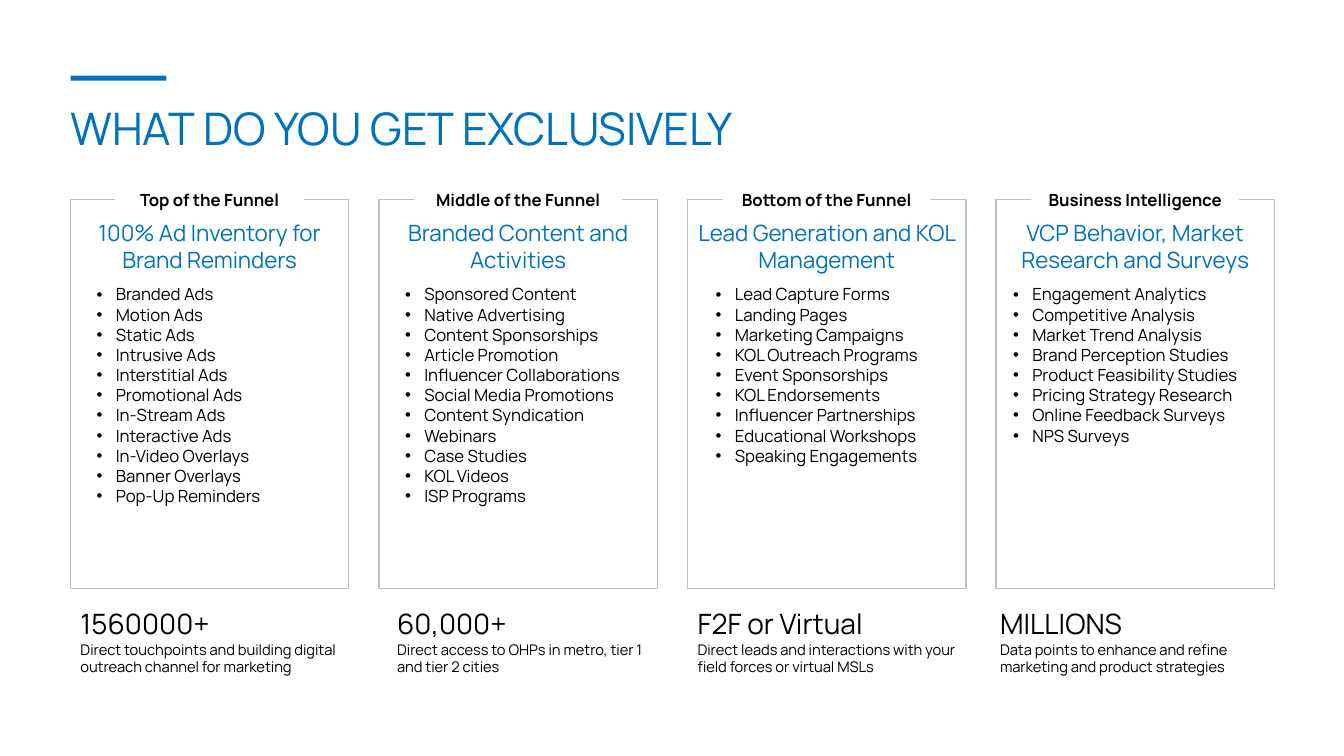
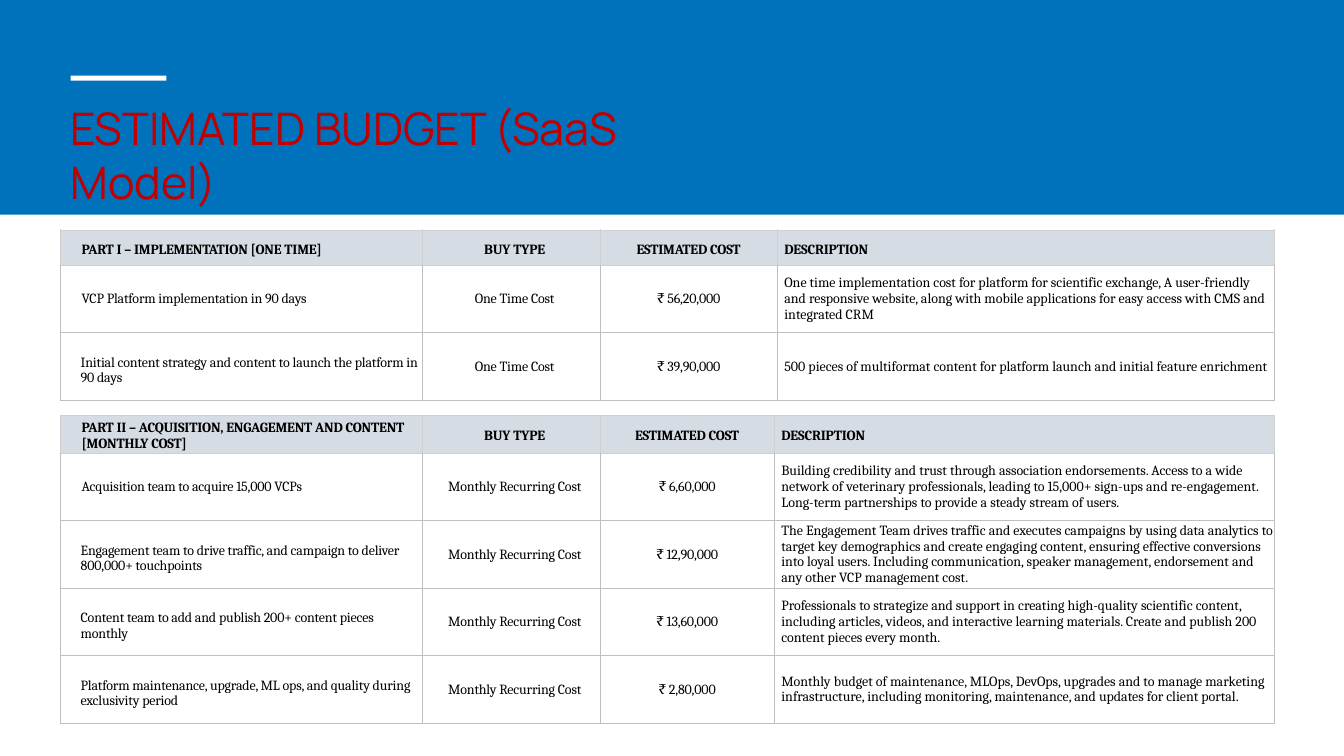
"""Builds a two-slide deck: exclusive benefits and estimated budget."""
from lxml.etree import SubElement as Sub
from pptx import Presentation as Deck
from pptx.dml.color import RGBColor as Rgb
from pptx.enum.shapes import MSO_SHAPE as Kind
from pptx.enum.text import MSO_ANCHOR as Anchor, MSO_AUTO_SIZE as Fit, PP_ALIGN as Align
from pptx.oxml.ns import qn
from pptx.util import Inches, Pt

HUES = {"blue": "0072BB", "white": "FFFFFF", "black": "000000", "red": "C00000",
        "frame": "BFBFBF", "head": "D5DCE3", "rule": "BEBEBE", "edge": "D0CECE"}
SANS, SERIF = "Manrope", "Cambria"
LEFT, STEP, WIDE = 0.7, 3.06, 2.76

CARDS = [
    {"label": "Top of the Funnel", "span": 1.87,
     "head": "100% Ad Inventory for Brand Reminders", "list": (0.86, 2.43),
     "items": ["Branded Ads", "Motion Ads", "Static Ads", "Intrusive Ads",
               "Interstitial Ads", "Promotional Ads", "In-Stream Ads",
               "Interactive Ads", "In-Video Overlays", "Banner Overlays",
               "Pop-Up Reminders"],
     "stat": (0.7, 2.94), "sum": "1560000+",
     "note": "Direct touchpoints and building digital outreach channel for marketing"},
    {"label": "Middle of the Funnel", "span": 2.06,
     "head": "Branded Content and Activities", "list": (3.92, 2.43),
     "items": ["Sponsored Content", "Native Advertising", "Content Sponsorships",
               "Article Promotion", "Influencer Collaborations",
               "Social Media Promotions", "Content Syndication", "Webinars",
               "Case Studies", "KOL Videos", "ISP Programs"],
     "stat": (3.84, 2.75), "sum": "60,000+",
     "note": "Direct access to OHPs in metro, tier 1 and tier 2 cities"},
    {"label": "Bottom of the Funnel", "span": 2.06,
     "head": "Lead Generation and KOL Management", "list": (7, 2.44),
     "items": ["Lead Capture Forms", "Landing Pages", "Marketing Campaigns",
               "KOL Outreach Programs", "Event Sponsorships", "KOL Endorsements",
               "Influencer Partnerships", "Educational Workshops",
               "Speaking Engagements"],
     "stat": (6.82, 2.76), "sum": "F2F or Virtual",
     "note": "Direct leads and interactions with your field forces or virtual MSLs"},
    {"label": "Business Intelligence", "span": 2.06,
     "head": "VCP Behavior, Market Research and Surveys", "list": (9.95, 2.52),
     "items": ["Engagement Analytics", "Competitive Analysis",
               "Market Trend Analysis", "Brand Perception Studies",
               "Product Feasibility Studies", "Pricing Strategy Research",
               "Online Feedback Surveys", "NPS Surveys"],
     "stat": (9.82, 2.87), "sum": "MILLIONS",
     "note": "Data points to enhance and refine marketing and product strategies"},
]

HEADS = ["BUY TYPE", "ESTIMATED COST", "DESCRIPTION"]
ONCE, MONTH = "One Time Cost", "Monthly Recurring Cost"
PARTS = [
    {"top": 2.28, "cols": [3.59, 1.76, 1.76, 4.93], "rows": [
        ["PART I – IMPLEMENTATION [ONE TIME]", *HEADS],
        ["VCP Platform implementation in 90 days", ONCE, "₹ 56,20,000",
         "One time implementation cost for platform for scientific exchange, "
         "A user-friendly and responsive website, along with mobile applications "
         "for easy access with CMS and integrated CRM"],
        ["Initial content strategy and content to launch the platform in 90 days",
         ONCE, "₹ 39,90,000",
         "500 pieces of multiformat content for platform launch and initial "
         "feature enrichment"]]},
    {"top": 4.12, "cols": [3.59, 1.76, 1.73, 4.96], "rows": [
        ["PART II – ACQUISITION, ENGAGEMENT AND CONTENT [MONTHLY COST]", *HEADS],
        ["Acquisition team to acquire 15,000 VCPs", MONTH, "₹ 6,60,000",
         "Building credibility and trust through association endorsements. Access "
         "to a wide network of veterinary professionals, leading to 15,000+ "
         "sign-ups and re-engagement. Long-term partnerships to provide a steady "
         "stream of users."],
        ["Engagement team to drive traffic, and campaign to deliver 800,000+ "
         "touchpoints", MONTH, "₹ 12,90,000",
         "The Engagement Team drives traffic and executes campaigns by using data "
         "analytics to target key demographics and create engaging content, "
         "ensuring effective conversions into loyal users. Including "
         "communication, speaker management, endorsement and any other VCP "
         "management cost."],
        ["Content team to add and publish 200+ content pieces monthly", MONTH,
         "₹ 13,60,000",
         "Professionals to strategize and support in creating high-quality "
         "scientific content, including articles, videos, and interactive learning "
         "materials. Create and publish 200 content pieces every month."],
        ["Platform maintenance, upgrade, ML ops, and quality during exclusivity "
         "period", MONTH, "₹ 2,80,000",
         "Monthly budget of maintenance, MLOps, DevOps, upgrades and to manage "
         "marketing infrastructure, including monitoring, maintenance, and updates "
         "for client portal."]]},
]


def hue(name):
    return Rgb.from_string(HUES[name])


def write(para, text, size, tone="black", bold=False, face=SANS):
    run = para.add_run()
    run.text = text
    font = run.font
    font.name, font.size, font.bold = face, Pt(size), bold
    font.color.rgb = hue(tone)
    return run


def rect(slide, x, y, w, h, fill=None, line=None):
    box = slide.shapes.add_shape(Kind.RECTANGLE, *map(Inches, (x, y, w, h)))
    box.shadow.inherit = False
    if fill:
        box.fill.solid()
        box.fill.fore_color.rgb = hue(fill)
    else:
        box.fill.background()
    if line:
        box.line.color.rgb = hue(line)
        box.line.width = Pt(1)
    else:
        box.line.fill.background()
    return box


def label(slide, x, y, w, h, lines, side=Align.LEFT, dots=False):
    frame = slide.shapes.add_textbox(*map(Inches, (x, y, w, h))).text_frame
    frame.word_wrap = True
    frame.auto_size = Fit.SHAPE_TO_FIT_TEXT
    for i, (text, size, tone) in enumerate(lines):
        para = frame.add_paragraph() if i else frame.paragraphs[0]
        para.alignment = side
        if dots:
            dot(para)
        write(para, text, size, tone)


def dot(para):
    props = para._p.get_or_add_pPr()
    props.set("marL", str(Inches(0.19)))
    props.set("indent", str(Inches(-0.19)))
    Sub(props, qn("a:buFont")).set("typeface", "Arial")
    Sub(props, qn("a:buChar")).set("char", "•")


def title(slide, text, w, tone, bar):
    rect(slide, LEFT, 0.75, 0.95, 0.05, bar)
    label(slide, 0.6, 0.95, w, 0.64, [(text, 32, tone)])


def card(slide, x, data):
    rect(slide, x, 1.98, WIDE, 3.86, line="frame")
    span = data["span"]
    tag = rect(slide, x + (WIDE - span) / 2, 1.83, span, 0.3, "white")
    para = tag.text_frame.paragraphs[0]
    para.alignment = Align.CENTER
    write(para, data["label"], 12, bold=True)
    label(slide, x, 2.13, WIDE, 0.64, [(data["head"], 16, "blue")], Align.CENTER)
    at, w = data["list"]
    items = [(item, 12, "black") for item in data["items"]]
    label(slide, at, 2.77, w, 0.1 + 0.2 * len(items), items, dots=True)
    at, w = data["stat"]
    label(slide, at, 5.97, w, 0.81,
          [(data["sum"], 20, "black"), (data["note"], 10.5, "black")])


def edge(cell, row):
    props = cell._tc.get_or_add_tcPr()
    for side in "LRTB":
        pale = row == 0 or (row == 1 and side == "T")
        line = Sub(props, qn("a:ln" + side), w=str(Pt(0.5)))
        fill = Sub(line, qn("a:solidFill"))
        Sub(fill, qn("a:srgbClr")).set("val", HUES["edge" if pale else "rule"])


def fill_cell(cell, text, row, col):
    edge(cell, row)
    if row == 0:
        cell.fill.solid()
        cell.fill.fore_color.rgb = hue("head")
    else:
        cell.fill.background()
    low = row > 1 and col == 0
    note = row > 0 and col == 3
    top = 0.04 if row == 0 else 0.08 if low else 0 if note else 0.01
    cell.margin_left = cell.margin_right = cell.margin_bottom = 0
    cell.margin_top = Inches(top)
    cell.vertical_anchor = Anchor.MIDDLE
    para = cell.text_frame.paragraphs[0]
    para.alignment = Align.CENTER if col in (1, 2) else Align.LEFT
    if low or note:
        para.line_spacing = 0.97 if low else 0.98
    pad = 0.2 if low else (0.21, 0.07, 0, 0.07)[col]
    para._p.get_or_add_pPr().set("marL", str(Inches(pad)))
    run = write(para, text, 10, bold=row == 0, face=SERIF)
    if not note:
        run.font._element.set("spc", "-10")


def grid(slide, top, cols, rows):
    highs = [0.35] + [0.67] * (len(rows) - 1)
    area = map(Inches, (0.6, top, sum(cols), sum(highs)))
    table = slide.shapes.add_table(len(rows), len(cols), *area).table
    table.first_row = table.horz_banding = False
    for part, w in zip(table.columns, cols):
        part.width = Inches(w)
    for r, (high, texts) in enumerate(zip(highs, rows)):
        table.rows[r].height = Inches(high)
        for c, text in enumerate(texts):
            fill_cell(table.cell(r, c), text, r, c)


def main():
    deck = Deck()
    deck.slide_width, deck.slide_height = Inches(13.33), Inches(7.5)
    blank = deck.slide_layouts[6]

    offer = deck.slides.add_slide(blank)
    title(offer, "WHAT DO YOU GET EXCLUSIVELY", 8.13, "blue", "blue")
    for i, data in enumerate(CARDS):
        card(offer, LEFT + STEP * i, data)

    budget = deck.slides.add_slide(blank)
    rect(budget, 0, 0, 13.33, 2.13, "blue")
    title(budget, "ESTIMATED BUDGET (SaaS Model)", 7.14, "red", "white")
    for part in PARTS:
        grid(budget, **part)

    deck.save("out.pptx")


if __name__ == "__main__":
    main()
